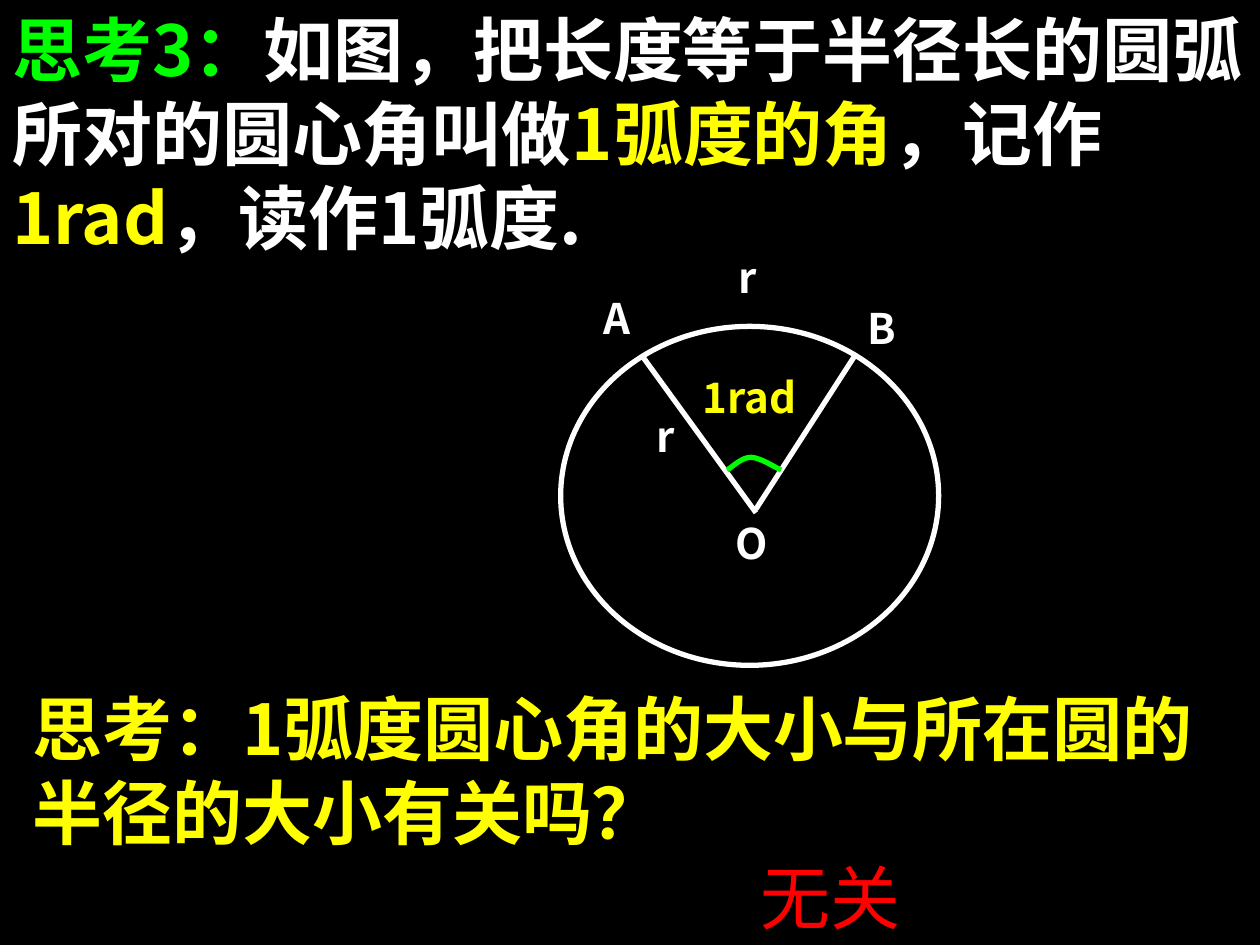
from lxml.etree import SubElement
from pptx import Presentation
from pptx.dml.color import RGBColor
from pptx.enum.shapes import MSO_CONNECTOR, MSO_SHAPE
from pptx.enum.text import PP_ALIGN
from pptx.oxml.ns import qn
from pptx.util import Inches, Pt

WHITE, YELLOW, GREEN, RED = "FFFFFF", "FFFF00", "00FF00", "FF0000"
CJK = "Noto Sans CJK SC"

DEFINITION = [
    ("思考3：", GREEN),
    ("如图，把长度等于半径长的圆弧所对的圆心角叫做", WHITE),
    ("1弧度的角", YELLOW),
    ("，记作", WHITE),
    ("1rad", YELLOW),
    ("，读作1弧度.", WHITE),
]
QUESTION = [("思考：1弧度圆心角的大小与所在圆的半径的大小有关吗？", YELLOW)]
ANSWER = [("无关", RED)]

CIRCLE = (4.45, 2.59, 3, 2.69)
RADII = [((5.1, 2.83), (6, 4.07)), ((6.78, 2.83), (6, 4.04))]
ANGLE_MARK = [
    [(5.77, 3.73), (5.8, 3.72), (5.88, 3.63), (5.96, 3.63)],
    [(5.96, 3.63), (6.03, 3.63), (6.15, 3.71), (6.2, 3.73)],
]
LABELS = [
    ("O", WHITE, (5.74, 4.06, 0.6, 0.57)),
    ("A", WHITE, (4.69, 2.27, 0.67, 0.62)),
    ("B", WHITE, (6.79, 2.35, 0.74, 0.55)),
    ("r", WHITE, (5.11, 3.21, 0.6, 0.63)),
    ("r", WHITE, (5.76, 1.95, 0.66, 0.55)),
    ("1rad", YELLOW, (5.48, 2.9, 1.24, 0.47)),
]


def inches(values):
    return [Inches(value) for value in values]


def paint(color_format, color):
    color_format.rgb = RGBColor.from_string(color)


def outline(drawn, color):
    paint(drawn.line.color, color)
    drawn.line.width = Pt(3)


def add_text(shapes, box, runs, size, bold=True, font=CJK, align=PP_ALIGN.LEFT):
    frame = shapes.add_textbox(*inches(box)).text_frame
    frame.word_wrap = True
    paragraph = frame.paragraphs[0]
    paragraph.alignment = align
    paragraph.font.size = Pt(size)
    paragraph.font.bold = bold
    paragraph.font.name = font
    for text, color in runs:
        run = paragraph.add_run()
        run.text = text
        paint(run.font.color, color)
        SubElement(run.font._element, qn("a:ea"), typeface=font)


def curve_points(curve, steps=10):
    for step in range(1, steps + 1):
        t = step / steps
        weights = ((1 - t) ** 3, 3 * t * (1 - t) ** 2, 3 * t * t * (1 - t), t ** 3)
        yield inches(sum(w * p[axis] for w, p in zip(weights, curve)) for axis in (0, 1))


def add_diagram(shapes):
    circle = shapes.add_shape(MSO_SHAPE.OVAL, *inches(CIRCLE))
    circle.shadow.inherit = False
    circle.fill.background()
    outline(circle, WHITE)

    for rim, center in RADII:
        radius = shapes.add_connector(MSO_CONNECTOR.STRAIGHT, *inches(rim + center))
        outline(radius, WHITE)
        SubElement(radius._element.spPr, qn("a:effectLst"))

    builder = shapes.build_freeform(*inches(ANGLE_MARK[0][0]))
    builder.add_line_segments(
        [point for curve in ANGLE_MARK for point in curve_points(curve)], close=False
    )
    mark = builder.convert_to_shape()
    mark.shadow.inherit = False
    mark.fill.background()
    outline(mark, GREEN)

    for text, color, box in LABELS:
        add_text(shapes, box, [(text, color)], 24, align=PP_ALIGN.JUSTIFY)


def main():
    """Build the slide that defines the angle of one radian."""
    deck = Presentation()
    deck.slide_width, deck.slide_height = inches((10, 7.5))
    slide = deck.slides.add_slide(deck.slide_layouts[6])
    slide.background.fill.solid()
    paint(slide.background.fill.fore_color, "000000")

    add_text(slide.shapes, (0, 0, 10, 2.1), DEFINITION, 40)
    add_diagram(slide.shapes.add_group_shape().shapes)
    add_text(slide.shapes, (0.16, 5.39, 9.69, 1.44), QUESTION, 40)
    add_text(slide.shapes, (5.94, 6.73, 2.11, 0.77), ANSWER, 40, bold=False, font="Arial")
    deck.save("out.pptx")


if __name__ == "__main__":
    main()
